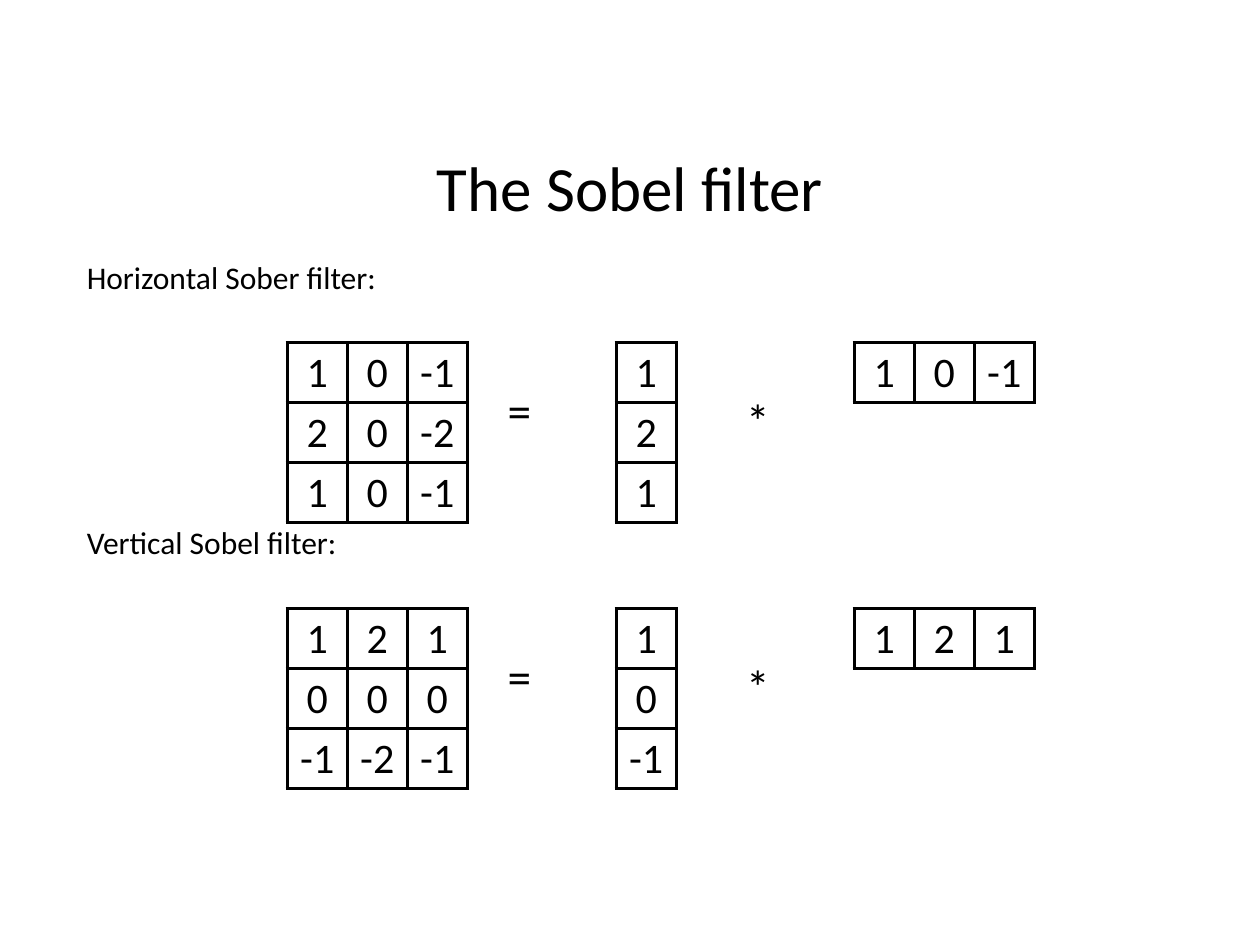
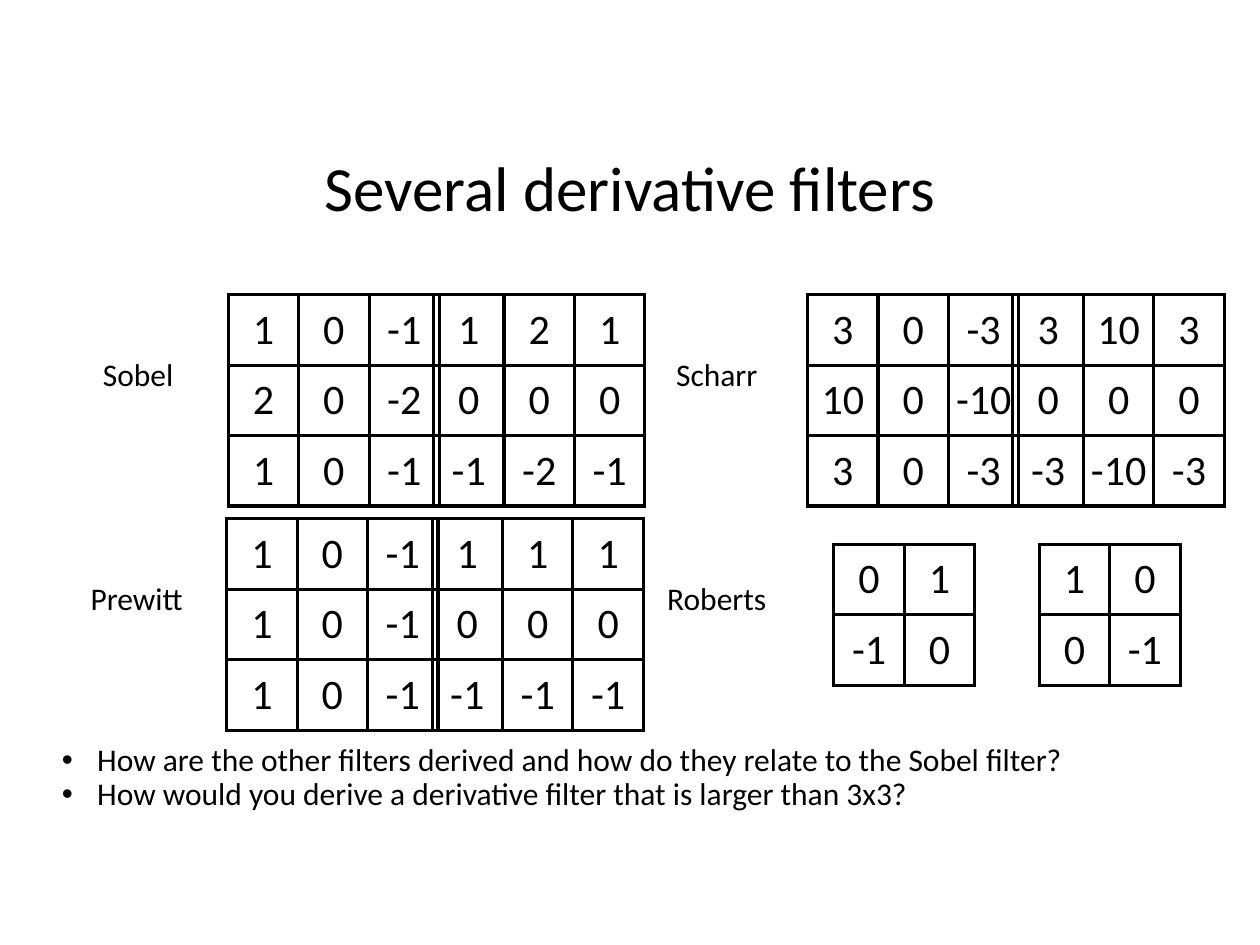
from lxml.etree import SubElement
from pptx import Presentation
from pptx.dml.color import RGBColor
from pptx.enum.text import MSO_ANCHOR, PP_ALIGN
from pptx.oxml.ns import qn
from pptx.util import Cm, Pt

COLOURS = {"ink": "000000", "paper": "FFFFFF"}
FONT = "Calibri"
SIZES = {"title": 36, "sign": 27, "number": 24, "body": 18}
SIDES = ("left", "right", "top", "bottom")

SOBEL_X = [[1, 0, -1], [2, 0, -2], [1, 0, -1]]
SOBEL_Y = [[1, 2, 1], [0, 0, 0], [-1, -2, -1]]

SEPARABLE_TITLE = "The Sobel filter"
FACTORISATIONS = [
    ("Horizontal Sober filter:", 6.02, SOBEL_X, [[1], [2], [1]], [[1, 0, -1]]),
    ("Vertical Sobel filter:", 5.23, SOBEL_Y, [[1], [0], [-1]], [[1, 2, 1]]),
]

FAMILY_TITLE = "Several derivative filters"
FAMILIES = [
    ("Sobel", (2.01, 7.09, 1.55), (4.6, 5.94), (SOBEL_X, SOBEL_Y)),
    ("Scharr", (13.56, 7.09, 1.78), (16.28, 5.94),
     ([[3, 0, -3], [10, 0, -10], [3, 0, -3]], [[3, 10, 3], [0, 0, 0], [-3, -10, -3]])),
    ("Prewitt", (1.75, 11.61, 2.01), (4.57, 10.46),
     ([[1, 0, -1]] * 3, [[1, 1, 1], [0, 0, 0], [-1, -1, -1]])),
    ("Roberts", (13.36, 11.61, 2.18), (16.81, 10.97),
     ([[0, 1], [-1, 0]], [[1, 0], [0, -1]])),
]
QUESTIONS = [
    "How are the other filters derived and how do they relate to the Sobel filter?",
    "How would you derive a derivative filter that is larger than 3x3?",
]
QUESTIONS_BOX = (1.07, 14.9, 23.29, 1.6)

BLOCK_TOP, BLOCK_STEP = 5.13, 5.36
KERNEL_LEFTS = (5.79, 12.42, 17.22)
KERNEL_DROP = 1.78
SIGNS = [("=", 10.16, 2.49), ("*", 14.97, 2.69)]
FACTOR_CELL, FAMILY_CELL = 1.21, 1.42
PAIR_STEP = 4.14


def apply_format(target, values):
    for attribute, value in values.items():
        setattr(target, attribute, value)


def margins(horizontal, vertical):
    return {f"margin_{side}": Cm(horizontal if side in SIDES[:2] else vertical)
            for side in SIDES}


def write(paragraph, words, size, align):
    paragraph.alignment = align
    run = paragraph.add_run()
    run.text = str(words)
    apply_format(run.font, {"name": FONT, "size": Pt(SIZES[size])})
    run.font.color.rgb = RGBColor.from_string(COLOURS["ink"])


def add_words(slide, words, box, size, align=PP_ALIGN.CENTER, wrap=False):
    frame = slide.shapes.add_textbox(*map(Cm, box)).text_frame
    apply_format(frame, {"word_wrap": wrap, "vertical_anchor": MSO_ANCHOR.MIDDLE,
                         **margins(0.05, 0.05)})
    write(frame.paragraphs[0], words, size, align)


def add_border(cell):
    properties = cell._tc.get_or_add_tcPr()
    for side in SIDES:
        line = SubElement(properties, qn(f"a:ln{side[0].upper()}"), w=str(Pt(2)))
        fill = SubElement(line, qn("a:solidFill"))
        SubElement(fill, qn("a:srgbClr"), val=COLOURS["ink"])


def add_kernel(slide, kernel, left, top, side):
    rows, columns = len(kernel), len(kernel[0])
    grid = slide.shapes.add_table(rows, columns, Cm(left), Cm(top),
                                  Cm(columns * side), Cm(rows * side)).table
    apply_format(grid, {"first_row": False, "horz_banding": False})
    for column in grid.columns:
        column.width = Cm(side)
    for row, numbers in zip(grid.rows, kernel):
        row.height = Cm(side)
        for cell, number in zip(row.cells, numbers):
            apply_format(cell, {"vertical_anchor": MSO_ANCHOR.MIDDLE,
                                **margins(0.09, 0.09)})
            write(cell.text_frame.paragraphs[0], number, "number", PP_ALIGN.CENTER)
            add_border(cell)
            cell.fill.background()


def add_questions(slide):
    frame = slide.shapes.add_textbox(*map(Cm, QUESTIONS_BOX)).text_frame
    apply_format(frame, {"word_wrap": True, **margins(0.18, 0.1)})
    for index, question in enumerate(QUESTIONS):
        paragraph = frame.add_paragraph() if index else frame.paragraphs[0]
        properties = paragraph._p.get_or_add_pPr()
        for key, value in {"marL": Cm(0.71), "indent": Cm(-0.71)}.items():
            properties.set(key, str(value))
        SubElement(properties, qn("a:buFont"), typeface="Arial")
        SubElement(properties, qn("a:buChar"), char="•")
        paragraph.line_spacing = 0.9
        write(paragraph, question, "body", PP_ALIGN.LEFT)


def add_titled_slide(deck, title):
    slide = deck.slides.add_slide(deck.slide_layouts[6])
    slide.background.fill.solid()
    slide.background.fill.fore_color.rgb = RGBColor.from_string(COLOURS["paper"])
    add_words(slide, title, (0, 2.37, 25.4, 2.77), "title", wrap=True)
    return slide


def build_factorisations(deck):
    slide = add_titled_slide(deck, SEPARABLE_TITLE)
    for index, (label, width, *kernels) in enumerate(FACTORISATIONS):
        top = BLOCK_TOP + index * BLOCK_STEP
        add_words(slide, label, (1.7, top, width, 0.89), "body", PP_ALIGN.LEFT)
        for kernel, left in zip(kernels, KERNEL_LEFTS):
            add_kernel(slide, kernel, left, top + KERNEL_DROP, FACTOR_CELL)
        for sign, left, drop in SIGNS:
            add_words(slide, sign, (left, top + drop, 0.62, 1.27), "sign")


def build_families(deck):
    slide = add_titled_slide(deck, FAMILY_TITLE)
    for family, label_place, (left, top), kernels in FAMILIES:
        add_words(slide, family, (*label_place, 0.89), "body")
        for index, kernel in enumerate(kernels):
            add_kernel(slide, kernel, left + index * PAIR_STEP, top, FAMILY_CELL)
    add_questions(slide)


def main():
    deck = Presentation()
    apply_format(deck, {"slide_width": Cm(25.4), "slide_height": Cm(19.05)})
    build_factorisations(deck)
    build_families(deck)
    deck.save("out.pptx")


if __name__ == "__main__":
    main()
